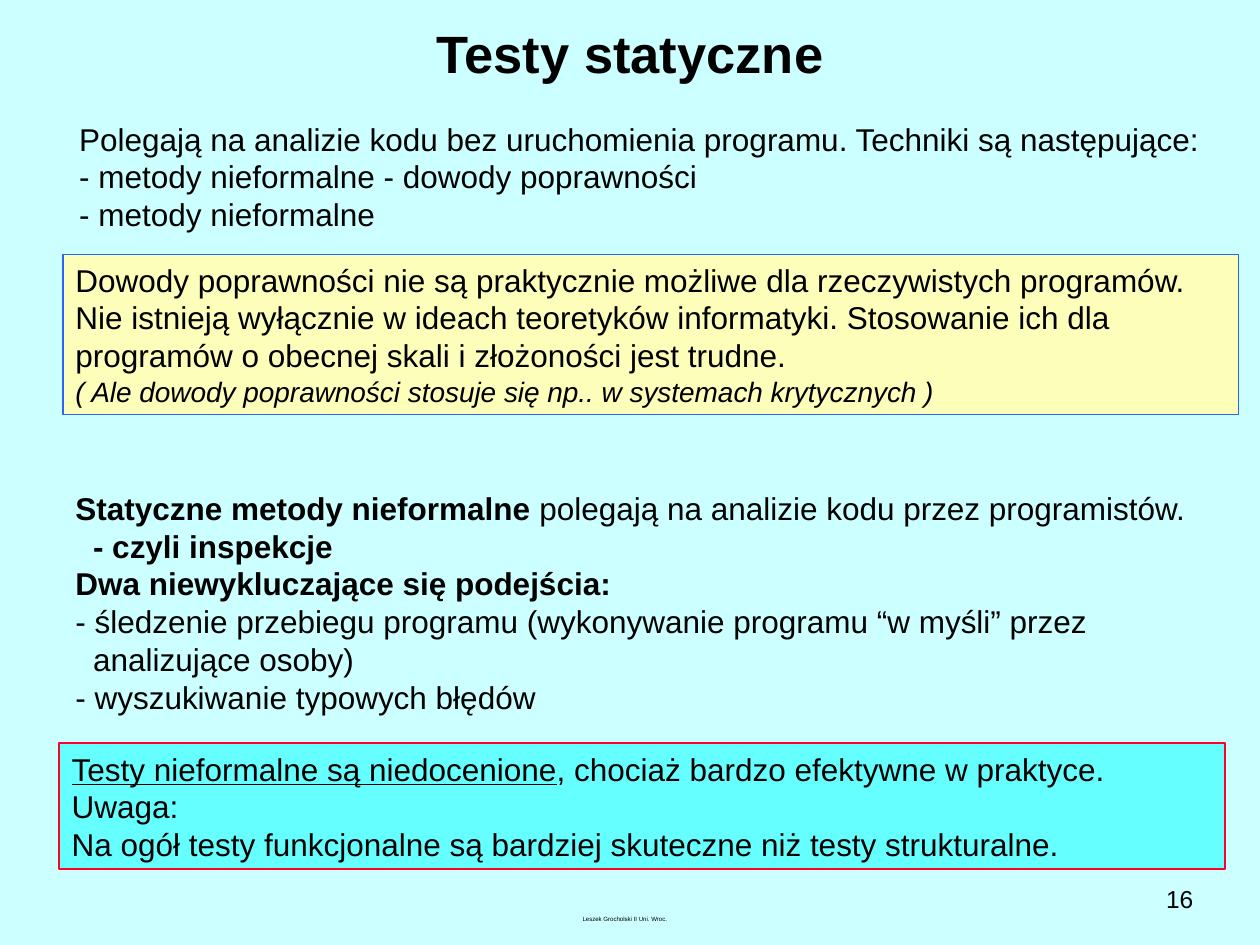
from pptx import Presentation
from pptx.dml.color import RGBColor
from pptx.enum.shapes import MSO_SHAPE
from pptx.enum.text import MSO_ANCHOR, PP_ALIGN
from pptx.util import Inches, Pt

BLACK = RGBColor(0x00, 0x00, 0x00)
PALE_CYAN = RGBColor(0xCC, 0xFF, 0xFF)
CREAM = RGBColor(0xFC, 0xFE, 0xB9)
BLUE = RGBColor(0x2F, 0x61, 0xFF)
CYAN = RGBColor(0x66, 0xFF, 0xFF)
RED = RGBColor(0xFC, 0x01, 0x28)

BODY = {"name": "Arial", "size": Pt(18)}
BOLD = BODY | {"bold": True}
UNDERLINED = BODY | {"underline": True}
ASIDE = BODY | {"size": Pt(16), "italic": True}
HEADING = BOLD | {"size": Pt(30)}
PAGE = BODY | {"size": Pt(14)}
CREDIT = BODY | {"size": Pt(3.5)}
MARGINS = {
    "margin_left": Inches(0.1),
    "margin_right": Inches(0.1),
    "margin_top": Inches(0.05),
    "margin_bottom": Inches(0.05),
}

deck = Presentation()
deck.slide_width, deck.slide_height = Inches(10), Inches(7.5)
COLUMN, ROW = deck.slide_width / 100, deck.slide_height / 75
slide = deck.slides.add_slide(deck.slide_layouts[6])
slide.background.fill.solid()
slide.background.fill.fore_color.rgb = PALE_CYAN


def place(area):
    left, top, width, height = area
    return [round(n) for n in (left * COLUMN, top * ROW, width * COLUMN, height * ROW)]


def write(block, lines, align=PP_ALIGN.LEFT, **frame_format):
    frame = block.text_frame
    for key, value in (MARGINS | {"word_wrap": True, "vertical_anchor": MSO_ANCHOR.TOP} | frame_format).items():
        setattr(frame, key, value)
    for index, (indent, runs) in enumerate(lines):
        line = frame.add_paragraph() if index else frame.paragraphs[0]
        line.alignment = align
        if indent:
            line._p.get_or_add_pPr().set("marL", str(round(indent * COLUMN)))
        for words, style in runs:
            run = line.add_run()
            run.text = words
            run.font.color.rgb = BLACK
            for key, value in style.items():
                setattr(run.font, key, value)


techniques = [
    (0, [("Polegają na analizie kodu bez uruchomienia programu. Techniki są następujące:", BODY)]),
    (0, [("- metody nieformalne - dowody poprawności", BODY)]),
    (0, [("- metody nieformalne", BODY)]),
]
proofs = [
    (0, [("Dowody poprawności nie są praktycznie możliwe dla rzeczywistych programów.", BODY)]),
    (0, [("Nie istnieją wyłącznie w ideach teoretyków informatyki. Stosowanie ich dla "
          "programów o obecnej skali i złożoności jest trudne.", BODY)]),
    (0, [("( Ale dowody poprawności stosuje się np.. w systemach krytycznych )", ASIDE)]),
]
inspections = [
    (0, [("Statyczne metody nieformalne", BOLD),
         (" polegają na analizie kodu przez programistów.", BODY)]),
    (1.4, [("- czyli inspekcje", BOLD)]),
    (0, [("Dwa niewykluczające się podejścia:", BOLD)]),
    (0, [("- śledzenie przebiegu programu (wykonywanie programu “w myśli” przez", BODY)]),
    (1.4, [("analizujące osoby)", BODY)]),
    (0, [("- wyszukiwanie typowych błędów", BODY)]),
]
conclusions = [
    (0, [("Testy nieformalne są niedocenione", UNDERLINED),
         (", chociaż bardzo efektywne w praktyce.", BODY)]),
    (0, [("Uwaga:", BODY)]),
    (0, [("Na ogół testy funkcjonalne są bardziej skuteczne niż testy strukturalne.", BODY)]),
]

for area, lines, text_format in (
    ((34.2, 72.2, 30.8, 1.4), [(0, [("Leszek Grocholski II Uni. Wroc.", CREDIT)])],
     {"align": PP_ALIGN.CENTER}),
    ((71.7, 69.7, 24, 3.8), [(0, [("16", PAGE)])], {"align": PP_ALIGN.RIGHT}),
    ((2, 0, 96, 8.4), [(0, [("Testy statyczne", HEADING)])],
     {"align": PP_ALIGN.CENTER, "vertical_anchor": MSO_ANCHOR.MIDDLE}),
    ((5.3, 9, 91.2, 10), techniques, {"word_wrap": False}),
    ((5, 38.3, 93.2, 19), inspections, {}),
):
    write(slide.shapes.add_textbox(*place(area)), lines, **text_format)

for area, lines, fill, border in (
    ((5, 20.2, 93.3, 12.7), proofs, CREAM, BLUE),
    ((4.7, 59, 92.5, 10), conclusions, CYAN, RED),
):
    remark = slide.shapes.add_shape(MSO_SHAPE.RECTANGLE, *place(area))
    remark.shadow.inherit = False
    remark.fill.solid()
    remark.fill.fore_color.rgb = fill
    remark.line.color.rgb = border
    remark.line.width = Pt(1)
    write(remark, lines)

deck.save("out.pptx")
